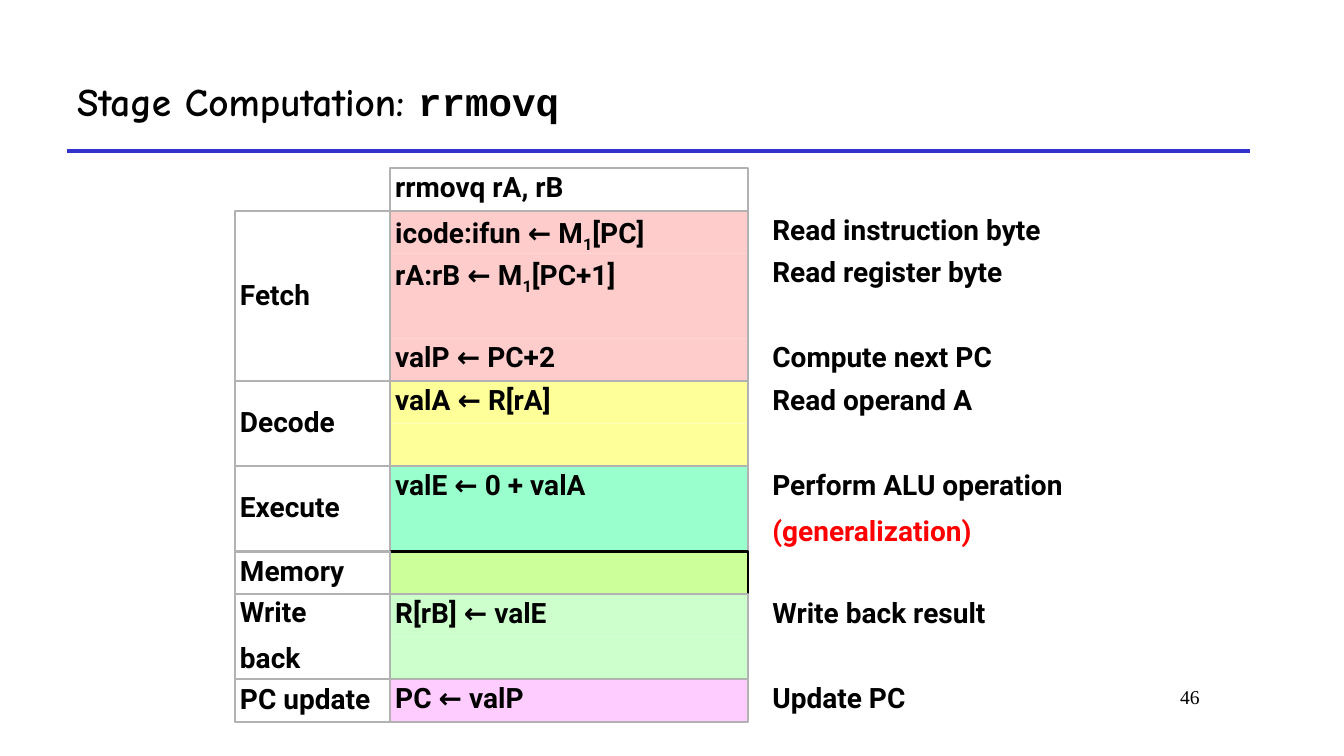
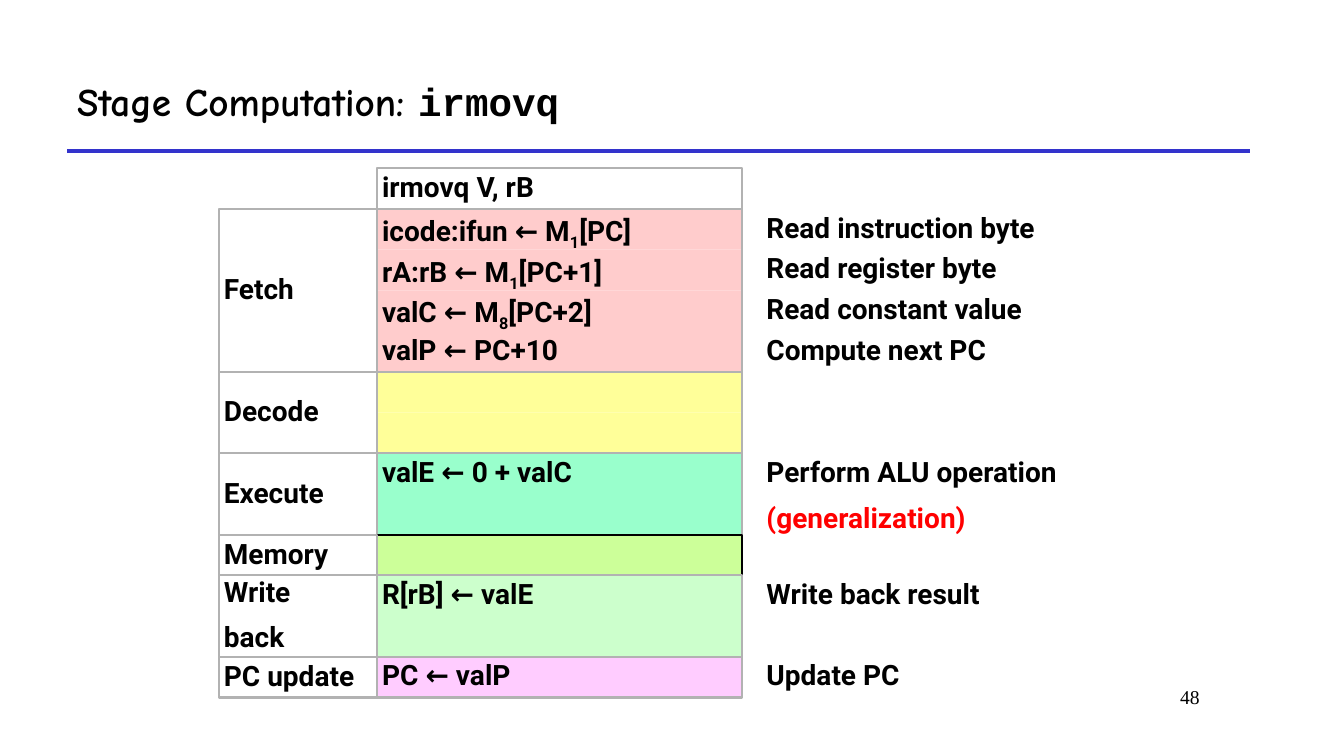
from pptx import Presentation
from pptx.dml.color import RGBColor
from pptx.enum.shapes import MSO_CONNECTOR, MSO_SHAPE
from pptx.enum.text import MSO_ANCHOR, PP_ALIGN
from pptx.oxml.ns import qn
from pptx.util import Inches, Pt
from lxml import etree

LINE = MSO_CONNECTOR.STRAIGHT
RECT = MSO_SHAPE.RECTANGLE
TOP, MIDDLE = MSO_ANCHOR.TOP, MSO_ANCHOR.MIDDLE
LEFT, RIGHT = PP_ALIGN.LEFT, PP_ALIGN.RIGHT

BLACK = RGBColor(0x00, 0x00, 0x00)
GRAY = RGBColor(0xB2, 0xB2, 0xB2)
BLUE = RGBColor(0x33, 0x33, 0xCC)
RED = RGBColor(0xFF, 0x00, 0x00)
PINK = RGBColor(0xFF, 0xCC, 0xCC)
YELLOW = RGBColor(0xFF, 0xFF, 0x99)
MINT = RGBColor(0x99, 0xFF, 0xCC)
LIME = RGBColor(0xCC, 0xFF, 0x99)
GREEN = RGBColor(0xCC, 0xFF, 0xCC)
LILAC = RGBColor(0xFF, 0xCC, 0xFF)

HEAD, CODE, BODY, FOOT = "Comic Neue", "Courier New", "Roboto", "Times New Roman"
WIDE, HIGH = 13.33, 7.5
ROWS = 13
LABEL, STEP = 17.44, 40.2  # column widths in percent of the table box

# Stage label, fill and cell border
STAGES = [
    ("Fetch", PINK, GRAY),
    ("Decode", YELLOW, GRAY),
    ("Execute", MINT, GRAY),
    ("Memory", LIME, BLACK),
    ("Write\nback", GREEN, GRAY),
    ("PC update", LILAC, GRAY),
]
BYTE = ("icode:ifun ← M_1[PC]", "Read instruction byte")
REGS = ("rA:rB ← M_1[PC+1]", "Read register byte")
ALU = "Perform ALU operation\n(generalization)"
NONE = ("", "")
LAST = [
    [NONE],
    [("R[rB] ← valE", "Write back result"), NONE],
    [("PC ← valP", "Update PC")],
]

# Name, page, table box, operands, then (step, note) rows for each stage
SLIDES = [
    ("rrmovq", 46, (2.33, 1.67, 8.83, 5.49), "rA, rB", [
        [BYTE, REGS, NONE, ("valP ← PC+2", "Compute next PC")],
        [("valA ← R[rA]", "Read operand A"), NONE],
        [("valE ← 0 + valA", ALU), NONE],
    ] + LAST),
    ("irmovq", 48, (2.17, 1.67, 9, 5.25), "V, rB", [
        [BYTE, REGS, ("valC ← M_8[PC+2]", "Read constant value"),
         ("valP ← PC+10", "Compute next PC")],
        [NONE, NONE],
        [("valE ← 0 + valC", ALU), NONE],
    ] + LAST),
]


def style(run, face, size, bold=True, color=BLACK):
    font = run.font
    font.name, font.size, font.bold = face, Pt(size), bold
    font.color.rgb = color


def write(shape, text, anchor=TOP):
    """Fill a table part; '_' makes the next character a subscript."""
    frame = shape.text_frame
    frame.word_wrap = True
    frame.vertical_anchor = anchor
    frame.margin_left = frame.margin_right = Inches(0.05)
    frame.margin_top = frame.margin_bottom = Inches(0.05)
    base, mark, rest = text.partition("_")
    frame.text = base
    for i, para in enumerate(frame.paragraphs):
        para.alignment = LEFT
        para.line_spacing = 0.9
        if i:
            para.space_before = Pt(11)
    if mark:
        for part in (rest[0], rest[1:]):
            para.add_run().text = part
        para.runs[1]._r.get_or_add_rPr().set("baseline", "-25000")
    for para in frame.paragraphs:
        for run in para.runs:
            style(run, BODY, 20, color=RED if run.text == "(generalization)" else BLACK)


def cell(group, box, text="", fill=None, edge=None, anchor=TOP):
    shape = group.shapes.add_shape(RECT, *map(Inches, box))
    shape.shadow.inherit = False
    if fill is None:
        shape.fill.background()
    else:
        shape.fill.solid()
        shape.fill.fore_color.rgb = fill
    if edge is None:
        shape.line.fill.background()
    else:
        shape.line.color.rgb = edge
        shape.line.width = Pt(1.5)
    if text:
        write(shape, text, anchor)


def table(slide, box, head, steps):
    """Lay stages on a grid of equal rows: label, step and note columns."""
    left, top, width, height = box
    row = height / ROWS
    label, step = width * LABEL / 100, width * STEP / 100
    mid, side = left + label, left + width - step
    group = slide.shapes.add_group_shape()
    cell(group, (mid, top, step, row), head, edge=GRAY)
    y = top + row
    for (name, fill, edge), rows in zip(STAGES, steps):
        tall = row * len(rows)
        lone = len(rows) == 1
        for i, (text, _) in enumerate(rows):
            cell(group, (mid, y + i * row, step, row), text, fill, edge if lone else None)
        if not lone:
            cell(group, (mid, y, step, tall), edge=edge)
        cell(group, (left, y, label, tall), name, edge=GRAY, anchor=MIDDLE)
        for i, (_, note) in enumerate(rows):
            if note:
                spot = (side, y + i * row, step, row)
                write(group.shapes.add_textbox(*map(Inches, spot)), note)
        y += tall


def frame(slide, name, page):
    """Add the title, the rule below it and the page number."""
    left, right, rule = WIDE * 0.05, WIDE * 0.93, HIGH * 0.2
    line = slide.shapes.add_connector(LINE, *map(Inches, (left, rule, right, rule)))
    line.line.color.rgb = BLUE
    line.line.width = Pt(3)
    etree.SubElement(line._element.spPr, qn("a:effectLst"))

    spot = (WIDE * 0.76, HIGH * 0.9, WIDE * 0.14, HIGH / 15)
    foot = slide.shapes.add_textbox(*map(Inches, spot)).text_frame
    foot.word_wrap = True
    foot.text = str(page)
    foot.paragraphs[0].alignment = RIGHT
    style(foot.paragraphs[0].runs[0], FOOT, 14, False)

    spot = (left, HIGH / 15, right - left, rule - HIGH / 15)
    title = slide.shapes.add_textbox(*map(Inches, spot)).text_frame
    title.word_wrap = True
    title.vertical_anchor = MIDDLE
    title.text = "Stage Computation: "
    para = title.paragraphs[0]
    para.add_run().text = name
    for run, face in zip(para.runs, (HEAD, CODE)):
        style(run, face, 28)


def main():
    deck = Presentation()
    deck.slide_width, deck.slide_height = Inches(WIDE), Inches(HIGH)
    for name, page, box, args, steps in SLIDES:
        slide = deck.slides.add_slide(deck.slide_layouts[6])
        frame(slide, name, page)
        table(slide, box, f"{name} {args}", steps)
    deck.save("out.pptx")


if __name__ == "__main__":
    main()
